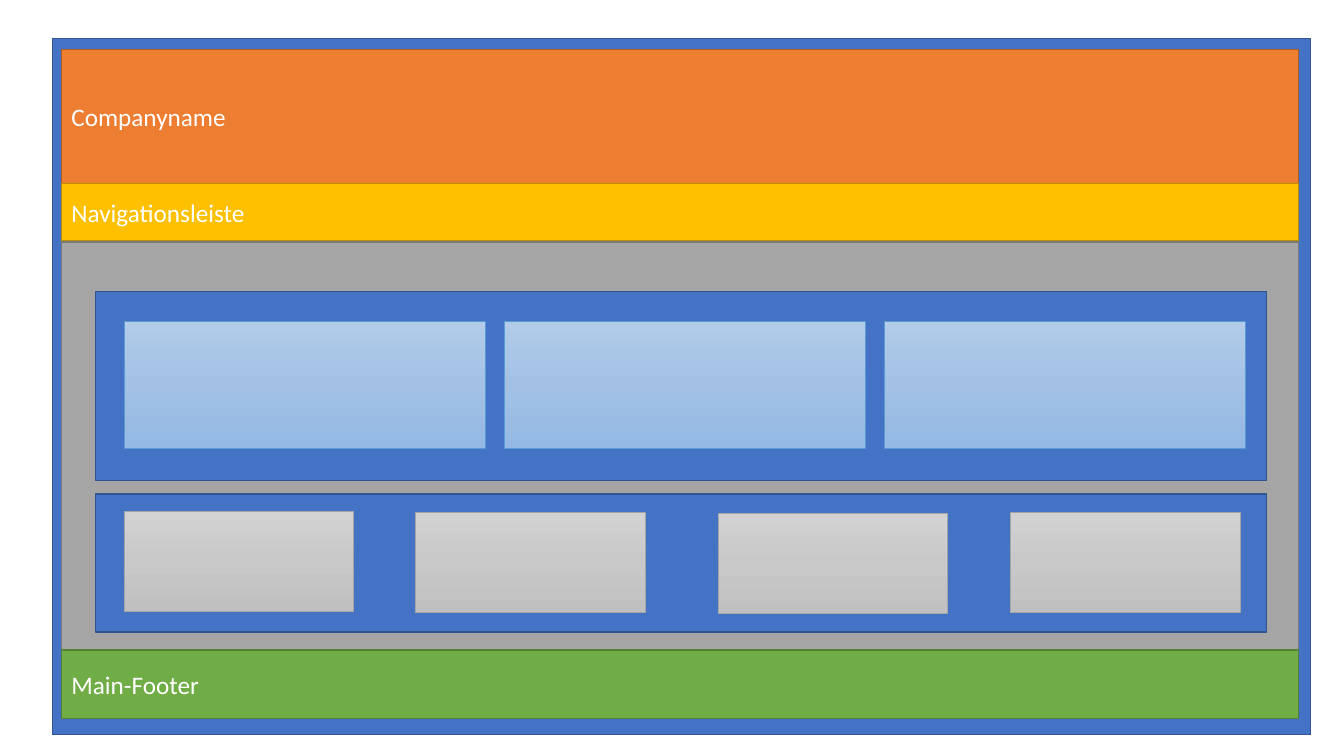
from collections import namedtuple
from copy import deepcopy
from dataclasses import dataclass

from pptx import Presentation
from pptx.dml.color import RGBColor
from pptx.enum.shapes import MSO_SHAPE as SHAPE
from pptx.enum.text import MSO_ANCHOR as ANCHOR, PP_ALIGN as ALIGN
from pptx.oxml.ns import qn
from pptx.util import Inches, Pt

Box = namedtuple("Box", "x y w h")
Paint = namedtuple("Paint", "fill line width", defaults=(1,))


@dataclass(frozen=True)
class Theme:
    font: str = "Calibri"
    size: int = 18
    text: str = "FFFFFF"
    panel: Paint = Paint("4472C4", "325491")
    header: Paint = Paint("ED7D31", "AF5C24")
    navigation: Paint = Paint("FFC000", "BD8E00")
    content: Paint = Paint("A5A5A5", "7A7A7A")
    footer: Paint = Paint("70AD47", "538035")
    blue_card: Paint = Paint(("B1CBE9", "A3C1E5", "93B9E4"), "5B9BD5", 0.5)
    gray_card: Paint = Paint(("D2D2D2", "C8C8C8", "C0C0C0"), "A5A5A5", 0.5)


THEME = Theme()
SLIDE_W, SLIDE_H = 13.33, 7.5


def rgb(color):
    return RGBColor.from_string(color)


def fill_gradient(s, colors):
    """Shade a shape from top to bottom through three evenly spaced colors."""
    s.fill.gradient()
    s.fill.gradient_angle = 270
    stops = s._element.spPr.find(f".//{qn('a:gsLst')}")
    stops.insert(1, deepcopy(stops[0]))
    for i, (stop, color) in enumerate(zip(s.fill.gradient_stops, colors)):
        stop.position = i / 2
        stop.color.rgb = rgb(color)


def add_block(slide, box, paint, label=None):
    s = slide.shapes.add_shape(SHAPE.RECTANGLE, *map(Inches, box))
    s.shadow.inherit = False
    if isinstance(paint.fill, tuple):
        fill_gradient(s, paint.fill)
    else:
        s.fill.solid()
        s.fill.fore_color.rgb = rgb(paint.fill)
    s.line.color.rgb = rgb(paint.line)
    s.line.width = Pt(paint.width)
    if label:
        tf = s.text_frame
        tf.word_wrap = True
        tf.vertical_anchor = ANCHOR.MIDDLE
        p = tf.paragraphs[0]
        p.alignment = ALIGN.LEFT
        r = p.add_run()
        r.text = label
        r.font.name = THEME.font
        r.font.size = Pt(THEME.size)
        r.font.color.rgb = rgb(THEME.text)


def add_cards(slide, panel, offsets, size, paint):
    """Draw a panel and its cards, each offset from the panel's corner."""
    add_block(slide, panel, THEME.panel)
    for dx, dy in offsets:
        add_block(slide, Box(panel.x + dx, panel.y + dy, *size), paint)


def add_content(slide, box):
    add_block(slide, box, THEME.content)
    x, w = box.x + 0.34, box.w - 0.66
    add_cards(slide, Box(x, box.y + 0.49, w, 1.88),
              [(0.28 + 3.77 * i, 0.3) for i in range(3)],
              (3.58, 1.26), THEME.blue_card)
    add_cards(slide, Box(x, box.y + 2.5, w, 1.37),
              [(0.28, 0.17), (3.17, 0.18), (6.17, 0.19), (9.07, 0.18)],
              (2.28, 1), THEME.gray_card)


def add_page(slide, box):
    """Draw the page frame with its stacked regions."""
    add_block(slide, box, THEME.panel)
    x, y, w = box.x + 0.09, box.y + 0.11, box.w - 0.21
    add_block(slide, Box(x, y, w, 1.33), THEME.header, "Companyname")
    add_block(slide, Box(x, y + 1.33, w, 0.57), THEME.navigation,
              "Navigationsleiste")
    add_content(slide, Box(x, y + 1.91, w, 4.05))
    add_block(slide, Box(x, y + 5.96, w, 0.68), THEME.footer, "Main-Footer")


def main():
    prs = Presentation()
    prs.slide_width, prs.slide_height = Inches(SLIDE_W), Inches(SLIDE_H)
    slide = prs.slides.add_slide(prs.slide_layouts[6])
    add_page(slide, Box(0.52, 0.38, 12.48, 6.91))
    prs.save("out.pptx")


if __name__ == "__main__":
    main()
